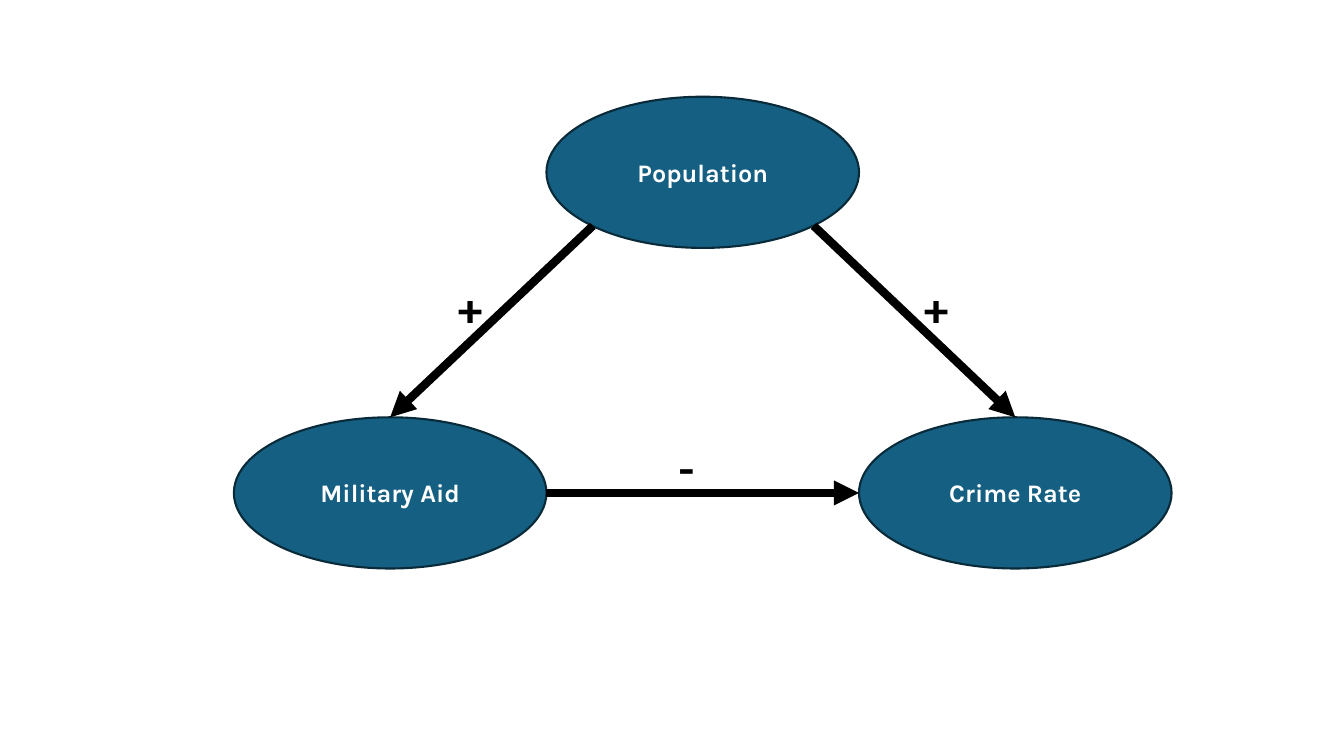
from dataclasses import dataclass

from lxml import etree
from pptx import Presentation
from pptx.dml.color import RGBColor
from pptx.enum.shapes import MSO_CONNECTOR, MSO_SHAPE
from pptx.enum.text import MSO_ANCHOR, MSO_AUTO_SIZE, PP_ALIGN
from pptx.oxml.ns import qn
from pptx.shapes.autoshape import Shape
from pptx.slide import Slide
from pptx.util import Emu, Pt

OVAL = MSO_SHAPE.OVAL
STRAIGHT = MSO_CONNECTOR.STRAIGHT
MIDDLE = MSO_ANCHOR.MIDDLE
GROW = MSO_AUTO_SIZE.SHAPE_TO_FIT_TEXT
LEFT, CENTER = PP_ALIGN.LEFT, PP_ALIGN.CENTER

TEAL = RGBColor(0x15, 0x60, 0x82)
NAVY = RGBColor(0x09, 0x2A, 0x39)
BLACK = RGBColor(0, 0, 0)
WHITE = RGBColor(0xFF, 0xFF, 0xFF)

FONT = "Karla"
SCALE = 9144  # EMU per px, 100 px to the inch
NODE_W, NODE_H = 310, 150
SIGN_W, SIGN_H = 33, 64
TOP_SITE = 0


@dataclass(frozen=True)
class Node:
    text: str
    left: int
    top: int


@dataclass(frozen=True)
class Arrow:
    start: tuple[int, int]
    end: tuple[int, int]
    target: Node | None = None


@dataclass(frozen=True)
class Sign:
    text: str
    left: int
    top: int
    align: PP_ALIGN = LEFT


AID = Node("Military Aid", 232, 414)
PEOPLE = Node("Population", AID.left + NODE_W, 96)
CRIME = Node("Crime Rate", PEOPLE.left + NODE_W, AID.top)
NODES = (PEOPLE, CRIME, AID)

MID_Y = AID.top + NODE_H // 2
ARROWS = (
    Arrow((588, 224), (AID.left + NODE_W // 2, AID.top), AID),
    Arrow((807, 224), (CRIME.left + NODE_W // 2, CRIME.top), CRIME),
    Arrow((AID.left + NODE_W, MID_Y), (CRIME.left, MID_Y)),
)
SIGNS = (
    Sign("+", 445, 272),
    Sign("+", 907, 272),
    Sign("-", 663, 432, CENTER),
)


def px(*sizes: int) -> list[Emu]:
    return [Emu(size * SCALE) for size in sizes]


def write(shape: Shape, text: str, size: int, color: RGBColor, align: PP_ALIGN) -> None:
    frame = shape.text_frame
    frame.word_wrap = True
    frame.text = text
    para = frame.paragraphs[0]
    para.alignment = align
    font = para.runs[0].font
    font.name, font.size, font.bold = FONT, Pt(size), True
    font.color.rgb = color


def add_node(slide: Slide, node: Node) -> Shape:
    oval = slide.shapes.add_shape(OVAL, *px(node.left, node.top, NODE_W, NODE_H))
    oval.shadow.inherit = False
    oval.fill.solid()
    oval.fill.fore_color.rgb = TEAL
    oval.line.color.rgb = NAVY
    oval.line.width = Pt(1.5)
    oval.text_frame.vertical_anchor = MIDDLE
    write(oval, node.text, 18, WHITE, CENTER)
    return oval


def add_arrow(slide: Slide, arrow: Arrow, ovals: dict[Node, Shape]) -> None:
    """Draw an arrow, joined to the top of its target if it has one."""
    link = slide.shapes.add_connector(STRAIGHT, *px(*arrow.start, *arrow.end))
    if arrow.target:
        link.end_connect(ovals[arrow.target], TOP_SITE)
    link.line.color.rgb = BLACK
    link.line.width = Pt(6)
    props = link.element.spPr
    etree.SubElement(props.find(qn("a:ln")), qn("a:tailEnd"), type="triangle")
    etree.SubElement(props, qn("a:effectLst"))


def add_sign(slide: Slide, sign: Sign) -> None:
    box = slide.shapes.add_textbox(*px(sign.left, sign.top, SIGN_W, SIGN_H))
    box.text_frame.auto_size = GROW
    write(box, sign.text, 32, BLACK, sign.align)


def main() -> None:
    deck = Presentation()
    deck.slide_width, deck.slide_height = px(1333, 750)
    slide = deck.slides.add_slide(deck.slide_layouts[6])
    ovals = {node: add_node(slide, node) for node in NODES}
    for arrow in ARROWS:
        add_arrow(slide, arrow, ovals)
    for sign in SIGNS:
        add_sign(slide, sign)
    deck.save("out.pptx")


if __name__ == "__main__":
    main()
